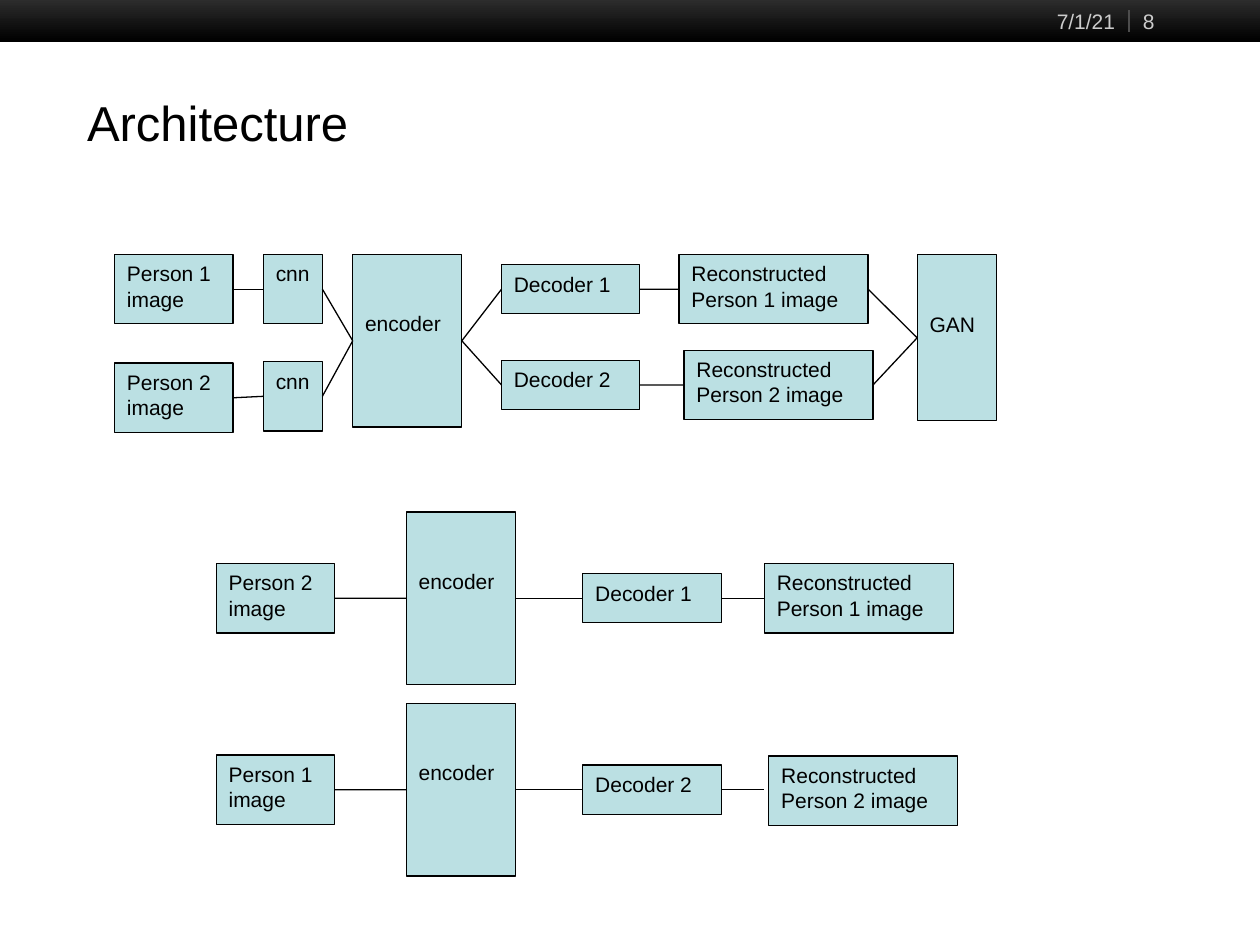
from lxml import etree
from pptx import Presentation
from pptx import util as u
from pptx.dml.color import RGBColor
from pptx.enum import shapes, text
from pptx.oxml import ns

# Width and height in cm of each kind of block
PERSON, CNN, ENCODER = (2.39, 1.4), (1.19, 1.4), (2.2, 3.48)
DECODER, RESULT, GAN = (2.79, 0.99), (3.81, 1.4), (1.6, 3.35)
LEFT_SITE, RIGHT_SITE = 1, 3
LOW_LABEL = 1.14  # top inset that moves a label two lines down
RESULT_1 = "Reconstructed\nPerson 1 image"
RESULT_2 = "Reconstructed Person 2 image"


def color(hex_string):
    return RGBColor.from_string(hex_string)


class Diagram:
    font = "Arial"
    ink = "000000"
    block_fill = "BBE0E3"
    header_ink = "CCCCCC"
    line_width = 0.75

    def __init__(self, presentation):
        self.slide = presentation.slides.add_slide(presentation.slide_layouts[5])

    def set_text(self, frame, content, size, ink, align=text.PP_ALIGN.LEFT):
        frame.word_wrap = True
        frame.text = content
        for paragraph in frame.paragraphs:
            paragraph.alignment = align
            paragraph.font.name = self.font
            paragraph.font.size = u.Pt(size)
            paragraph.font.color.rgb = color(ink)

    def title(self, content, left, top, width, height):
        shape = self.slide.shapes.title
        shape.left, shape.top = u.Cm(left), u.Cm(top)
        shape.width, shape.height = u.Cm(width), u.Cm(height)
        frame = shape.text_frame
        frame.auto_size = text.MSO_AUTO_SIZE.NONE
        frame.vertical_anchor = text.MSO_ANCHOR.TOP
        self.set_text(frame, content, 28, self.ink)

    def header_bar(self, top, width, height):
        bar = self.slide.shapes.add_shape(
            shapes.MSO_SHAPE.RECTANGLE, 0, u.Cm(top), u.Cm(width), u.Cm(height))
        bar.shadow.inherit = False
        bar.line.fill.background()
        bar.fill.gradient()
        bar.fill.gradient_angle = 270
        for stop, shade in zip(bar.fill.gradient_stops, ("333333", "000000")):
            stop.color.rgb = color(shade)

    def header_text(self, content, left, width, align):
        box = self.slide.shapes.add_textbox(
            u.Cm(left), 0, u.Cm(width), u.Cm(0.84))
        frame = box.text_frame
        frame.margin_left = frame.margin_right = 0
        frame.vertical_anchor = text.MSO_ANCHOR.MIDDLE
        self.set_text(frame, content, 12, self.header_ink, align)

    def block(self, content, left, middle, size, inset=0.13):
        """Add a labelled block centred vertically on middle."""
        width, height = size
        shape = self.slide.shapes.add_shape(
            shapes.MSO_SHAPE.RECTANGLE, u.Cm(left), u.Cm(middle - height / 2),
            u.Cm(width), u.Cm(height))
        shape.shadow.inherit = False
        shape.fill.solid()
        shape.fill.fore_color.rgb = color(self.block_fill)
        shape.line.color.rgb = color(self.ink)
        shape.line.width = u.Pt(self.line_width)
        frame = shape.text_frame
        frame.vertical_anchor = text.MSO_ANCHOR.TOP
        frame.margin_top = u.Cm(inset)
        self.set_text(frame, content, 12, self.ink)
        return shape

    def line(self, x1, y1, x2, y2, ink=ink, width=line_width):
        connector = self.slide.shapes.add_connector(
            shapes.MSO_CONNECTOR.STRAIGHT, u.Cm(x1), u.Cm(y1), u.Cm(x2), u.Cm(y2))
        connector.line.color.rgb = color(ink)
        connector.line.width = u.Pt(width)
        etree.SubElement(connector._element.spPr, ns.qn("a:effectLst"))
        return connector

    def chain(self, *blocks):
        """Join each block's right side to the next block's left side."""
        for start, end in zip(blocks, blocks[1:]):
            connector = self.line(0, 0, 1, 1)
            connector.begin_connect(start, RIGHT_SITE)
            connector.end_connect(end, LEFT_SITE)


def add_header(diagram):
    diagram.header_bar(-0.13, 25.4, 0.97)
    diagram.line(22.76, 0.2, 22.76, 0.64, "4D4D4D", 1)
    diagram.header_text("7/1/21", 19.51, 2.97, text.PP_ALIGN.RIGHT)
    diagram.header_text("8", 23.04, 2.36, text.PP_ALIGN.LEFT)


def add_training(diagram):
    encoder = diagram.block("encoder", 7.11, 6.87, ENCODER, LOW_LABEL)
    gan = diagram.block("GAN", 18.49, 6.81, GAN, LOW_LABEL)
    # Person, middle of each block from left to right, result and its left edge
    rows = [
        (1, 5.83, 5.83, 5.83, RESULT_1, 13.69),
        (2, 8.02, 7.99, 7.76, RESULT_2, 13.79),
    ]
    for number, person_y, cnn_y, decoder_y, result, result_left in rows:
        diagram.chain(
            diagram.block(f"Person {number} image", 2.31, person_y, PERSON),
            diagram.block("cnn", 5.31, cnn_y, CNN),
            encoder,
            diagram.block(f"Decoder {number}", 10.11, decoder_y, DECODER),
            diagram.block(result, result_left, decoder_y, RESULT),
            gan)


def add_swap(diagram, person, decoder, middle):
    blocks = [
        diagram.block(f"Person {person} image", 4.36, middle, PERSON),
        diagram.block("encoder", 8.19, middle, ENCODER, LOW_LABEL),
        diagram.block(f"Decoder {decoder}", 11.75, middle, DECODER),
    ]
    diagram.chain(*blocks)
    diagram.line(14.54, middle, 15.41, middle)


def main():
    presentation = Presentation()
    presentation.slide_width, presentation.slide_height = u.Cm(25.4), u.Cm(19.05)
    diagram = Diagram(presentation)
    add_header(diagram)
    diagram.title("Architecture", 1.5, 1.73, 22.02, 1.9)
    add_training(diagram)
    add_swap(diagram, person=2, decoder=1, middle=12.06)
    diagram.block(RESULT_1, 15.41, 12.06, RESULT)
    add_swap(diagram, person=1, decoder=2, middle=15.92)
    diagram.block(RESULT_2, 15.5, 15.94, RESULT)
    presentation.save("out.pptx")


if __name__ == "__main__":
    main()
